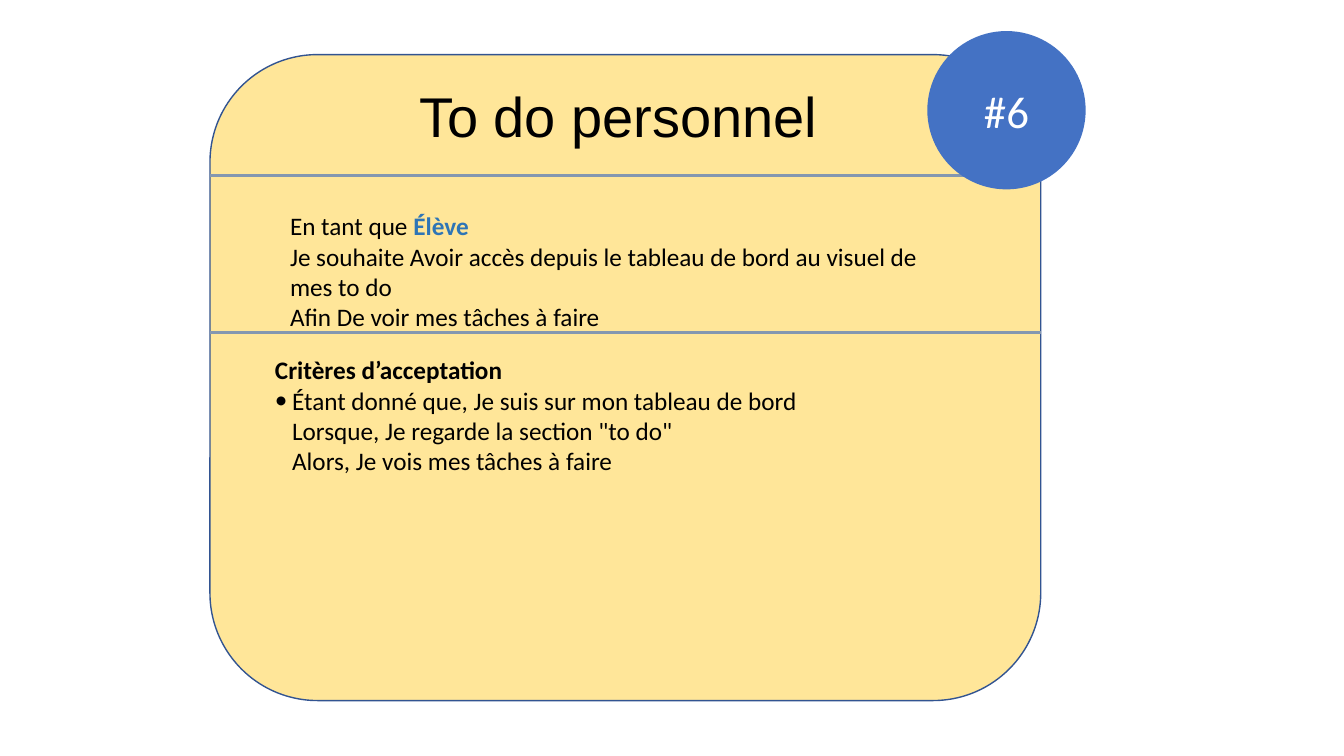
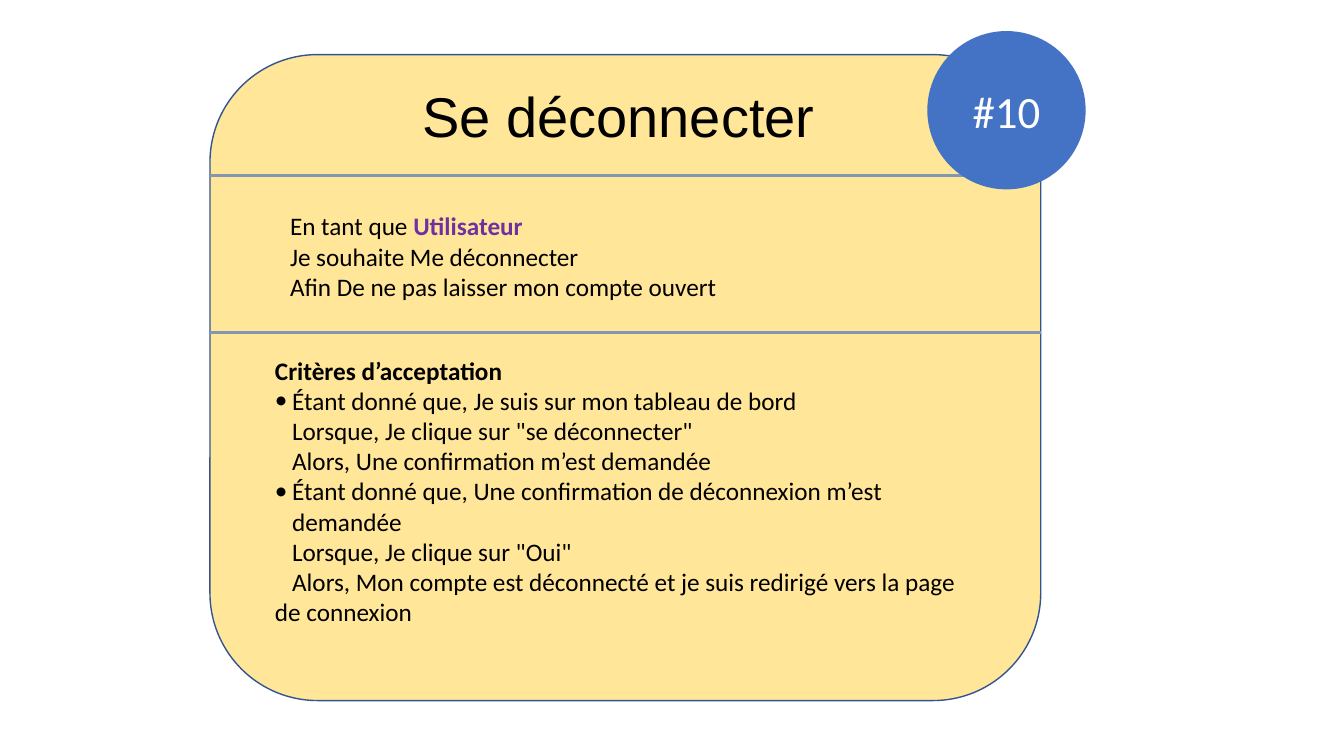
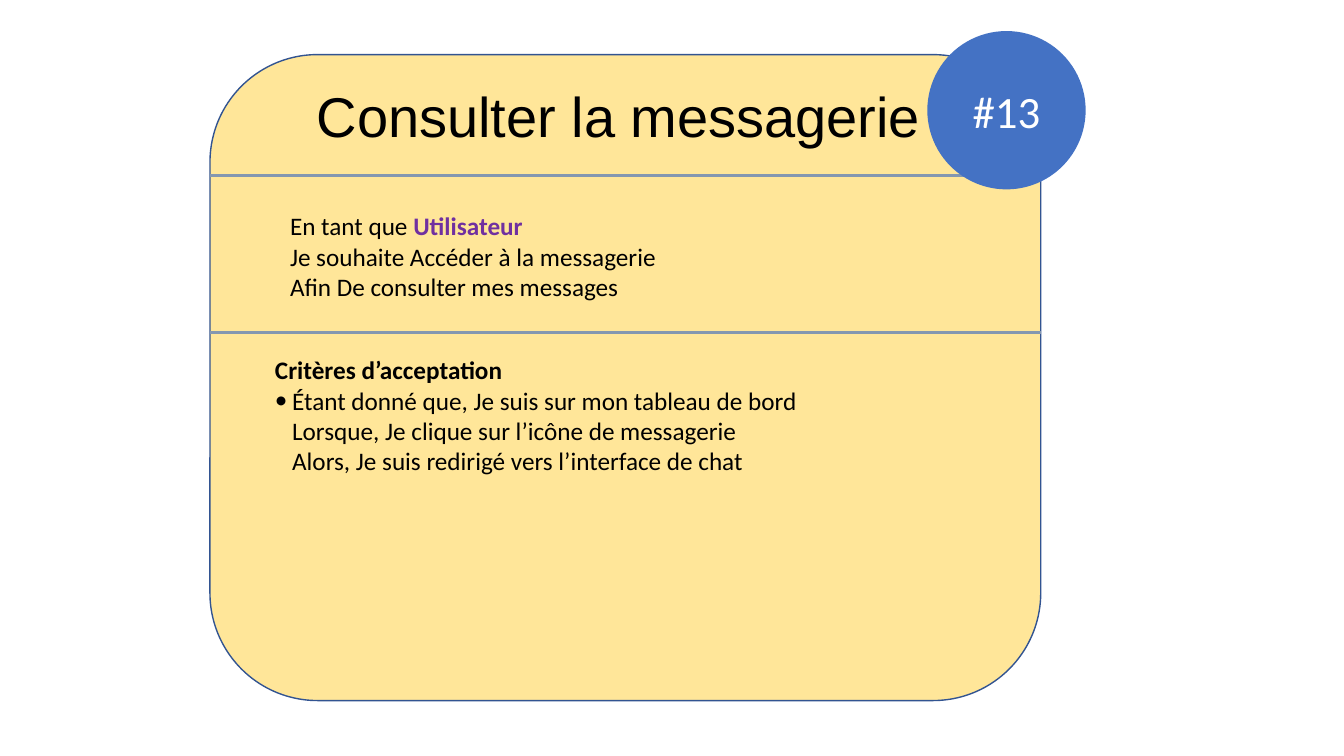
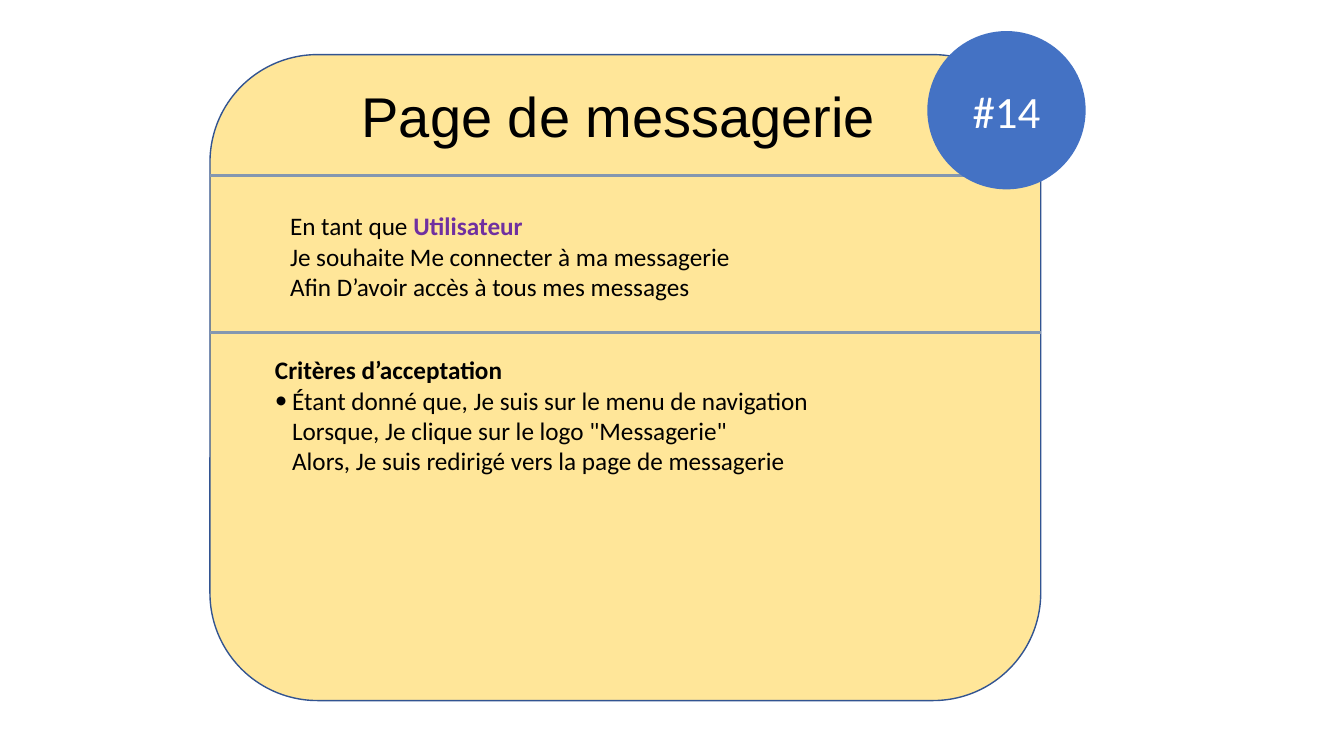
from dataclasses import dataclass

from lxml import etree
from pptx import Presentation
from pptx import util as u
from pptx.dml.color import RGBColor
from pptx.enum import shapes, text
from pptx.oxml import ns

COLUMNS, ROWS = 32, 18
CELL = u.Inches(7.5) // ROWS

CARD_FILL, CARD_EDGE, RULE = "FFE699", "325491", "8497B0"
BADGE_FILL, WHITE, BLACK = "4472C4", "FFFFFF", "000000"
ROLE_COLOURS = {"Élève": "2E75B6", "Utilisateur": "7030A0"}

TITLE_FONT, BODY_FONT = "Arial", "Calibri"
TITLE_SIZE, BADGE_SIZE, BODY_SIZE = 40, 32, 18
LINE_ROWS, INSET_ROWS = 0.73, 0.24
STEP_INDENT = 0.41


@dataclass(frozen=True)
class Area:
    """A rectangle in columns and rows of the slide grid."""
    left: float
    top: float
    width: float
    height: float = 0

    def place(self) -> tuple[int, int, int, int]:
        return cells(self.left), cells(self.top), cells(self.width), cells(self.height)


@dataclass(frozen=True)
class Criterion:
    given: str
    when: str
    then: str


@dataclass(frozen=True)
class Story:
    number: int
    title: str
    role: str
    wish: str
    purpose: str
    criteria: tuple[Criterion, ...]
    story_lines: int = 3
    criteria_lines: int = 4


CARD = Area(5, 1.3, 19.78, 15.38)
TITLE = Area(6.67, 1.82, 16.1, 1.85)
BADGE = Area(22.08, 0.74, 3.77, 3.77)
DIVIDER_ROWS = (4.18, 7.92)

STORIES = (
    Story(6, "To do personnel", "Élève",
          "Avoir accès depuis le tableau de bord au visuel de mes to do",
          "De voir mes tâches à faire",
          (Criterion("Je suis sur mon tableau de bord",
                     'Je regarde la section "to do"',
                     "Je vois mes tâches à faire"),),
          story_lines=4),
    Story(10, "Se déconnecter", "Utilisateur",
          "Me déconnecter",
          "De ne pas laisser mon compte ouvert",
          (Criterion("Je suis sur mon tableau de bord",
                     'Je clique sur "se déconnecter"',
                     "Une confirmation m’est demandée"),
           Criterion("Une confirmation de déconnexion m’est demandée",
                     'Je clique sur "Oui"',
                     "Mon compte est déconnecté et je suis redirigé vers la page de connexion")),
          criteria_lines=9),
    Story(13, "Consulter la messagerie", "Utilisateur",
          "Accéder à la messagerie",
          "De consulter mes messages",
          (Criterion("Je suis sur mon tableau de bord",
                     "Je clique sur l’icône de messagerie",
                     "Je suis redirigé vers l’interface de chat"),)),
    Story(14, "Page de messagerie", "Utilisateur",
          "Me connecter à ma messagerie",
          "D’avoir accès à tous mes messages",
          (Criterion("Je suis sur le menu de navigation",
                     'Je clique sur le logo "Messagerie"',
                     "Je suis redirigé vers la page de messagerie"),)),
)


def cells(count: float) -> int:
    return round(count * CELL)


def text_rows(lines: int) -> float:
    return INSET_ROWS + lines * LINE_ROWS


def paint(target, colour: str) -> None:
    """Colour a fill solidly."""
    target.solid()
    target.fore_color.rgb = RGBColor.from_string(colour)


def style(font, size: float, name: str = BODY_FONT, colour: str = BLACK, bold: bool = False) -> None:
    font.size, font.name, font.bold = u.Pt(size), name, bold
    font.color.rgb = RGBColor.from_string(colour)


def add_panel(page, kind, area: Area, colour: str):
    panel = page.shapes.add_shape(kind, *area.place())
    panel.shadow.inherit = False
    paint(panel.fill, colour)
    return panel


def add_box(page, area: Area):
    frame = page.shapes.add_textbox(*area.place()).text_frame
    frame.word_wrap = True
    frame.auto_size = text.MSO_AUTO_SIZE.SHAPE_TO_FIT_TEXT
    return frame


def centre_text(frame, words: str, size: float, name: str, colour: str) -> None:
    para = frame.paragraphs[0]
    para.text = words
    para.alignment = text.PP_ALIGN.CENTER
    style(para.font, size, name, colour)


def add_divider(page, row: float) -> None:
    right = CARD.left + CARD.width
    rule = page.shapes.add_connector(shapes.MSO_CONNECTOR.STRAIGHT, cells(CARD.left), cells(row),
                                     cells(right), cells(row))
    paint(rule.line.fill, RULE)
    rule.line.width = u.Pt(2.25)
    etree.SubElement(rule._element.spPr, ns.qn("a:effectLst"))


def add_line(frame, words: str, indent: float = 0, bullet: bool = False) -> None:
    """Append a body paragraph; a bullet hangs, a plain line indents its first row."""
    para = frame.add_paragraph()
    para.text = words
    props = para._p.get_or_add_pPr()
    props.set("marL", str(cells(indent) if bullet else 0))
    props.set("indent", str(cells(-indent if bullet else indent)))
    if bullet:
        etree.SubElement(props, ns.qn("a:buFont"), typeface=BODY_FONT)
        etree.SubElement(props, ns.qn("a:buChar"), char="•")
    style(para.font, BODY_SIZE)


def add_story(page, story: Story) -> None:
    frame = add_box(page, Area(6.67, 4.9, 16.49, text_rows(story.story_lines)))
    para = frame.paragraphs[0]
    style(para.font, BODY_SIZE)
    para.add_run().text = "En tant que "
    span = para.add_run()
    span.text = story.role
    style(span.font, BODY_SIZE, colour=ROLE_COLOURS[story.role], bold=True)
    add_line(frame, f"Je souhaite {story.wish}")
    add_line(frame, f"Afin {story.purpose}")


def add_criteria(page, story: Story) -> None:
    frame = add_box(page, Area(6.31, 8.33, 16.82, text_rows(story.criteria_lines)))
    heading = frame.paragraphs[0]
    heading.text = "Critères d’acceptation"
    style(heading.font, BODY_SIZE, bold=True)
    for criterion in story.criteria:
        add_line(frame, f"Étant donné que, {criterion.given}", STEP_INDENT, bullet=True)
        add_line(frame, f"Lorsque, {criterion.when}", STEP_INDENT)
        add_line(frame, f"Alors, {criterion.then}", STEP_INDENT)


def add_card(page, story: Story) -> None:
    card = add_panel(page, shapes.MSO_SHAPE.ROUNDED_RECTANGLE, CARD, CARD_FILL)
    paint(card.line.fill, CARD_EDGE)
    card.line.width = u.Pt(1)
    centre_text(add_box(page, TITLE), story.title, TITLE_SIZE, TITLE_FONT, BLACK)
    for row in DIVIDER_ROWS:
        add_divider(page, row)
    add_story(page, story)
    add_criteria(page, story)
    badge = add_panel(page, shapes.MSO_SHAPE.OVAL, BADGE, BADGE_FILL)
    badge.line.fill.background()
    badge.text_frame.vertical_anchor = text.MSO_ANCHOR.MIDDLE
    centre_text(badge.text_frame, f"#{story.number}", BADGE_SIZE, BODY_FONT, WHITE)


def main() -> None:
    deck = Presentation()
    deck.slide_width, deck.slide_height = cells(COLUMNS), cells(ROWS)
    blank = deck.slide_layouts[6]
    for story in STORIES:
        add_card(deck.slides.add_slide(blank), story)
    deck.save("out.pptx")


if __name__ == "__main__":
    main()
